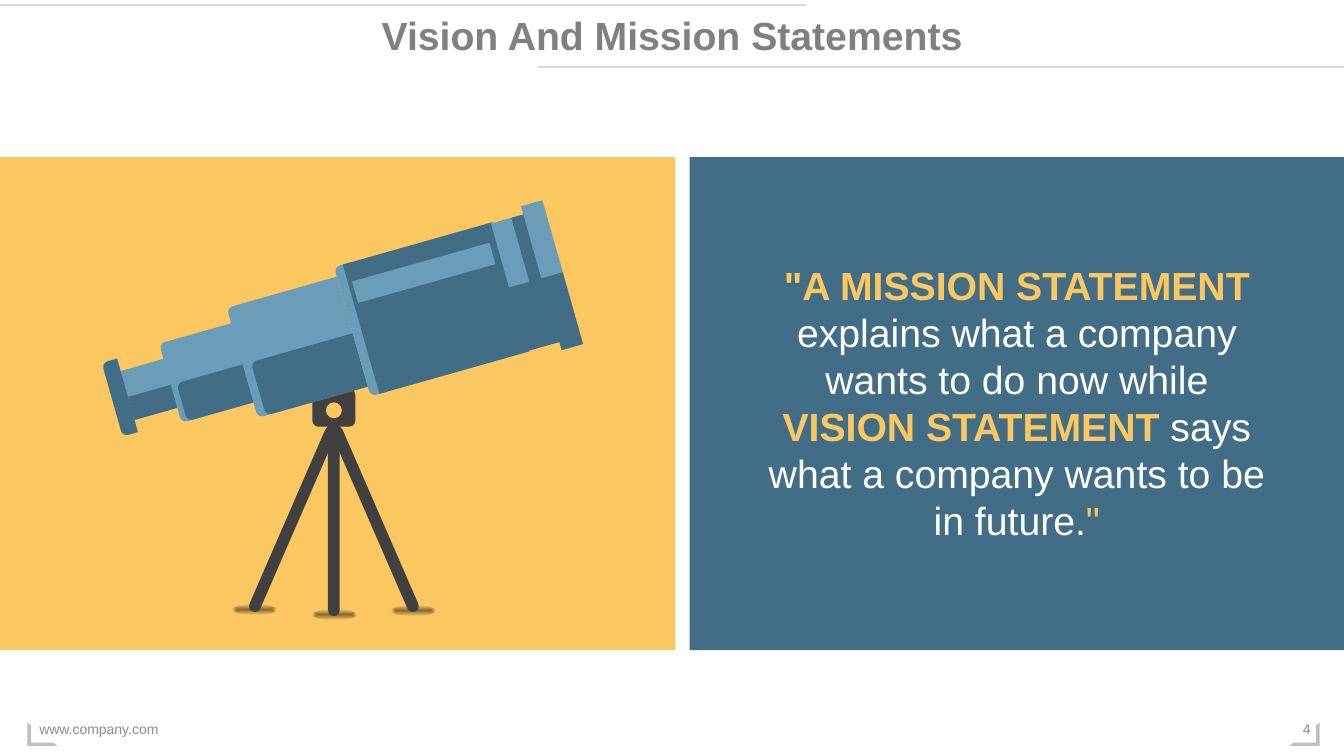
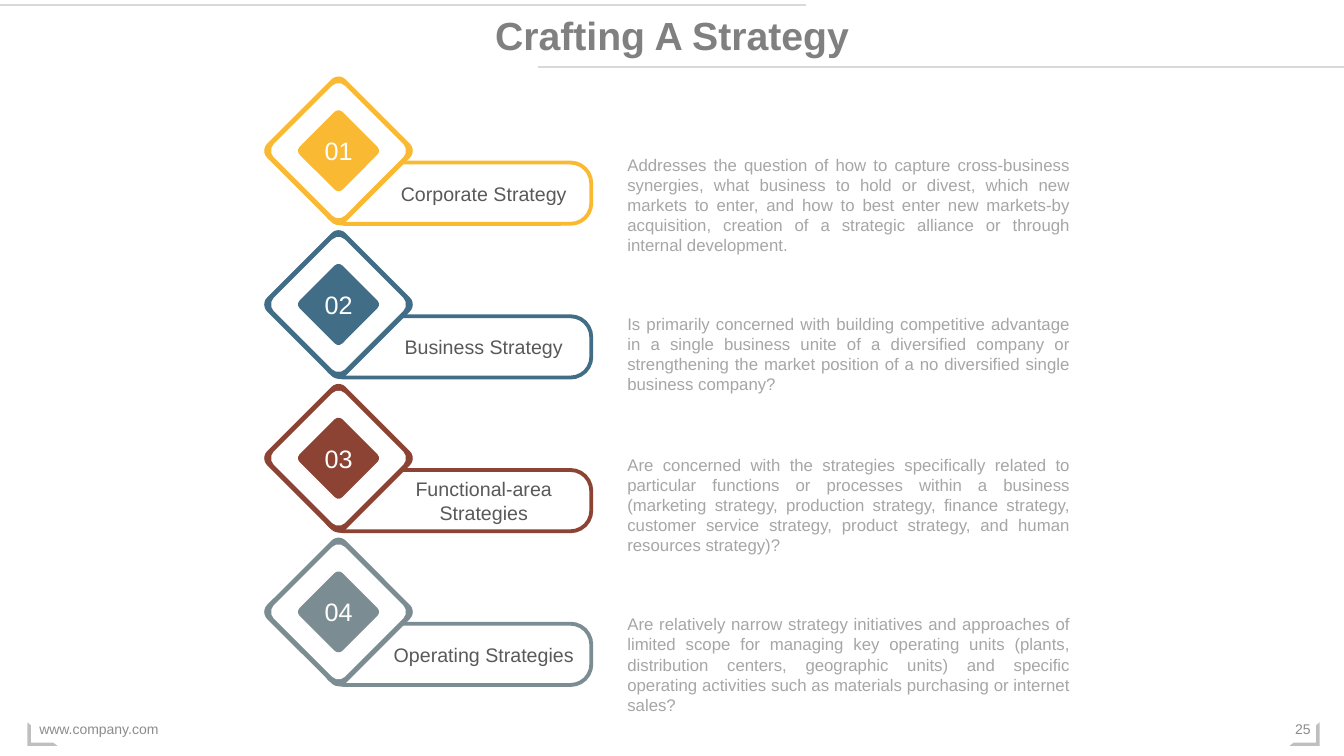
"""Build a vision and mission slide and a strategy slide on a 160 by 90 grid of square cells."""
from math import cos, radians, sin

from pptx import Presentation
from pptx.dml.color import RGBColor
from pptx.enum.shapes import MSO_CONNECTOR, MSO_SHAPE
from pptx.enum.text import MSO_ANCHOR, PP_ALIGN
from pptx.oxml import parse_xml
from pptx.oxml.ns import nsdecls, qn
from pptx.util import Emu, Inches, Pt

RECT, ROUND, OVAL = MSO_SHAPE.RECTANGLE, MSO_SHAPE.ROUNDED_RECTANGLE, MSO_SHAPE.OVAL
TUBE, CORNER = MSO_SHAPE.ROUND_2_SAME_RECTANGLE, MSO_SHAPE.HALF_FRAME
LEFT, CENTER, RIGHT, JUSTIFY = PP_ALIGN.LEFT, PP_ALIGN.CENTER, PP_ALIGN.RIGHT, PP_ALIGN.JUSTIFY
TOP, MIDDLE = MSO_ANCHOR.TOP, MSO_ANCHOR.MIDDLE


class Theme:
    font = "Arial"
    title_size, number_size, label_size, body_size, footer_size = 28, 18, 14, 12, 10
    white, rule, corner = "FFFFFF", "D9D9D9", "BFBFBF"
    title, footer, label, body = "808080", "8C8C8C", "595959", "A6A6A6"
    sand, blue, sky, dark = "FAC760", "416E86", "6C9DB8", "404040"
    amber, rust, slate = "F9B932", "8D4334", "7B8C93"


prs = Presentation()
prs.slide_width, prs.slide_height = Inches(40 / 3), Inches(7.5)
CELL = prs.slide_height / 90


def shape(s, kind, x, y, w, h, fill=None, line=None, rot=0, adj=()):
    """Add a preset shape; lengths are in grid cells."""
    sp = s.shapes.add_shape(kind, *(Emu(round(v * CELL)) for v in (x, y, w, h)))
    sp.shadow.inherit = False
    sp.rotation = rot
    for i, value in enumerate(adj):
        sp.adjustments[i] = value
    if fill:
        sp.fill.solid()
        sp.fill.fore_color.rgb = RGBColor.from_string(fill)
    else:
        sp.fill.background()
    if line:
        sp.line.color.rgb = RGBColor.from_string(line)
        sp.line.width = Pt(2.75)
    else:
        sp.line.fill.background()
    return sp


def text(s, x, y, w, h, words, size, color, align=LEFT, anchor=TOP, bold=False):
    """Add a one-paragraph text box and return the paragraph."""
    tb = s.shapes.add_textbox(*(Emu(round(v * CELL)) for v in (x, y, w, h)))
    tf = tb.text_frame
    tf.word_wrap = True
    tf.vertical_anchor = anchor
    p = tf.paragraphs[0]
    p.text = words
    p.alignment = align
    p.font.name, p.font.size, p.font.bold = Theme.font, Pt(size), bold
    p.font.color.rgb = RGBColor.from_string(color)
    return p


slides = []
for title, number in (("Vision And Mission Statements", "4"), ("Crafting A Strategy", "25")):
    s = prs.slides.add_slide(prs.slide_layouts[6])
    slides.append(s)
    for x, y in ((0, 0.6), (64, 8)):
        ends = (Emu(round(v * CELL)) for v in (x, y, x + 96, y))
        cn = s.shapes.add_connector(MSO_CONNECTOR.STRAIGHT, *ends)
        cn.line.color.rgb = RGBColor.from_string(Theme.rule)
        cn.line.width = Pt(1.5)
        cn._element.spPr.append(parse_xml(f"<a:effectLst {nsdecls('a')}/>"))
    for x, flip in ((153.5, "0"), (3.25, "1")):
        sp = shape(s, CORNER, x, 86, 3.6, 2.8, Theme.corner, rot=180, adj=(0.14, 0.15))
        sp._element.spPr.xfrm.set("flipH", flip)
    text(s, 3.5, 84.4, 54, 4.8, "www.company.com", Theme.footer_size, Theme.footer, anchor=MIDDLE)
    text(s, 152.2, 84.4, 5, 4.8, number, Theme.footer_size, Theme.footer, RIGHT, MIDDLE)
    text(s, 0, 0.8, 160, 6.8, title, Theme.title_size, Theme.title, CENTER, bold=True)

vision, strategy = slides

shape(vision, RECT, 0, 18.7, 80.4, 58.7, Theme.sand)
shape(vision, RECT, 82.1, 18.7, 77.9, 58.7, Theme.blue)

SHADE = (
    f'<a:gradFill {nsdecls("a")} rotWithShape="1"><a:gsLst>'
    '<a:gs pos="3000"><a:srgbClr val="000000"><a:alpha val="46000"/></a:srgbClr></a:gs>'
    '<a:gs pos="100000"><a:srgbClr val="000000"><a:alpha val="0"/></a:srgbClr></a:gs>'
    '</a:gsLst><a:path path="shape"><a:fillToRect l="50000" t="50000" r="50000" b="50000"/>'
    '</a:path></a:gradFill>'
)
for x, y in ((37.2, 72.6), (27.7, 72), (46.6, 72.1)):
    sp = shape(vision, OVAL, x, y, 5.2, 1.2)
    spPr = sp._element.spPr
    spPr.replace(spPr.find(qn("a:noFill")), parse_xml(SHADE))

STAND_X, LEG = 39.75, 1.4
for dx, cy, length, tilt in ((-4.9, 61.8, 24, 23.5), (0, 61.2, 24.3, 0), (4.9, 61.8, 24, -23.5)):
    shape(vision, ROUND, STAND_X + dx - LEG / 2, cy - length / 2, LEG, length,
          Theme.dark, rot=tilt, adj=(0.5,))
shape(vision, ROUND, STAND_X - 2.55, 46.3, 5.1, 4.5, Theme.dark, adj=(0.16,))
shape(vision, OVAL, STAND_X - 0.95, 47.9, 1.9, 1.9, Theme.sand)

AXIS_X, AXIS_Y, TILT, RADIUS = 13.45, 47.55, 15.8, 0.7
ux, uy = cos(radians(TILT)), sin(radians(TILT))
telescope = (
    (1.8, 5.4, -3, 3.05, 0, Theme.sky),
    (1.8, 5.4, 0.2, 3.05, 0, Theme.blue),
    (-0.1, 1.9, -4.55, 4.55, RADIUS, Theme.blue),
    (7.1, 9, -4.9, 4.9, RADIUS, Theme.sky),
    (7.8, 8.2, 0.2, 4.9, RADIUS, Theme.blue),
    (16, 13.6, -6.8, 6.8, RADIUS, Theme.sky),
    (17, 12.6, 0.2, 6.8, RADIUS, Theme.blue),
    (29.6, 2, -8, 8, RADIUS, Theme.sky),
    (30.7, 18.5, -8, 8, 0, Theme.blue),
    (31.2, 17, -5.75, -3.1, 0, Theme.sky),
    (51.4, 1.7, -7.9, 7.9, 0, Theme.blue),
    (49, 2.5, -7.9, 0, 0, Theme.sky),
    (49, 2.5, 0, 7.9, 0, Theme.blue),
    (53, 2.65, -8.9, 0, 0, Theme.sky),
    (53, 2.65, 0, 8.9, 0, Theme.blue),
)
for start, length, upper, lower, radius, color in telescope:
    along, across, width = start + length / 2, (upper + lower) / 2, lower - upper
    cx = AXIS_X + along * ux + across * uy
    cy = AXIS_Y - along * uy + across * ux
    shape(vision, TUBE, cx - width / 2, cy - length / 2, width, length, color,
          rot=270 - TILT, adj=(radius / min(width, length), 0))

p = text(vision, 90.2, 30.5, 61.7, 35.2, "", Theme.title_size, Theme.white, CENTER)
for words, color, bold in (
    ('"A MISSION STATEMENT ', Theme.sand, True),
    ("explains what a company wants to do now while ", Theme.white, False),
    ("VISION STATEMENT ", Theme.sand, True),
    ("says what a company wants to be in future.", Theme.white, False),
    ('"', Theme.sand, False),
):
    r = p.add_run()
    r.text = words
    r.font.bold = bold
    r.font.color.rgb = RGBColor.from_string(color)

strategies = (
    ("Corporate Strategy", Theme.amber, 17.8,
     "Addresses the question of how to capture cross-business synergies, what business to hold or "
     "divest, which new markets to enter, and how to best enter new markets-by acquisition, "
     "creation of a strategic alliance or through internal development."),
    ("Business Strategy", Theme.blue, 36.7,
     "Is primarily concerned with building competitive advantage in a single business unite of a "
     "diversified company or strengthening the market position of a no diversified single "
     "business company?"),
    ("Functional-area Strategies", Theme.rust, 53.5,
     "Are concerned with the strategies specifically related to particular functions or processes "
     "within a business (marketing strategy, production strategy, finance strategy, customer "
     "service strategy, product strategy, and human resources strategy)?"),
    ("Operating Strategies", Theme.slate, 72.5,
     "Are relatively narrow strategy initiatives and approaches of limited scope for managing key "
     "operating units (plants, distribution centers, geographic units) and specific operating "
     "activities such as materials purchasing or internet sales?"),
)
DIAMOND_X, FIRST_Y, PITCH = 40.3, 17.95, 18.3
for i, (label, color, body_y, body) in enumerate(strategies):
    cy = FIRST_Y + i * PITCH
    shape(strategy, ROUND, 38.5, cy + 1.4, 31.9, 7.3, line=color, adj=(0.34,))
    for side, fill in ((13.2, color), (12, Theme.white), (7.2, color)):
        shape(strategy, ROUND, DIAMOND_X - side / 2, cy - side / 2, side, side, fill,
              rot=45, adj=(0.09,))
    text(strategy, DIAMOND_X - 3.9, cy - 2.4, 7.8, 4.8, f"{i + 1:02}",
         Theme.number_size, Theme.white, CENTER, MIDDLE)
    text(strategy, 45.1, cy + 1.4, 25, 7.3, label, Theme.label_size, Theme.label, CENTER, MIDDLE)
    text(strategy, 73.5, body_y, 55.1, 13.3, body, Theme.body_size, Theme.body, JUSTIFY)

prs.save("out.pptx")
